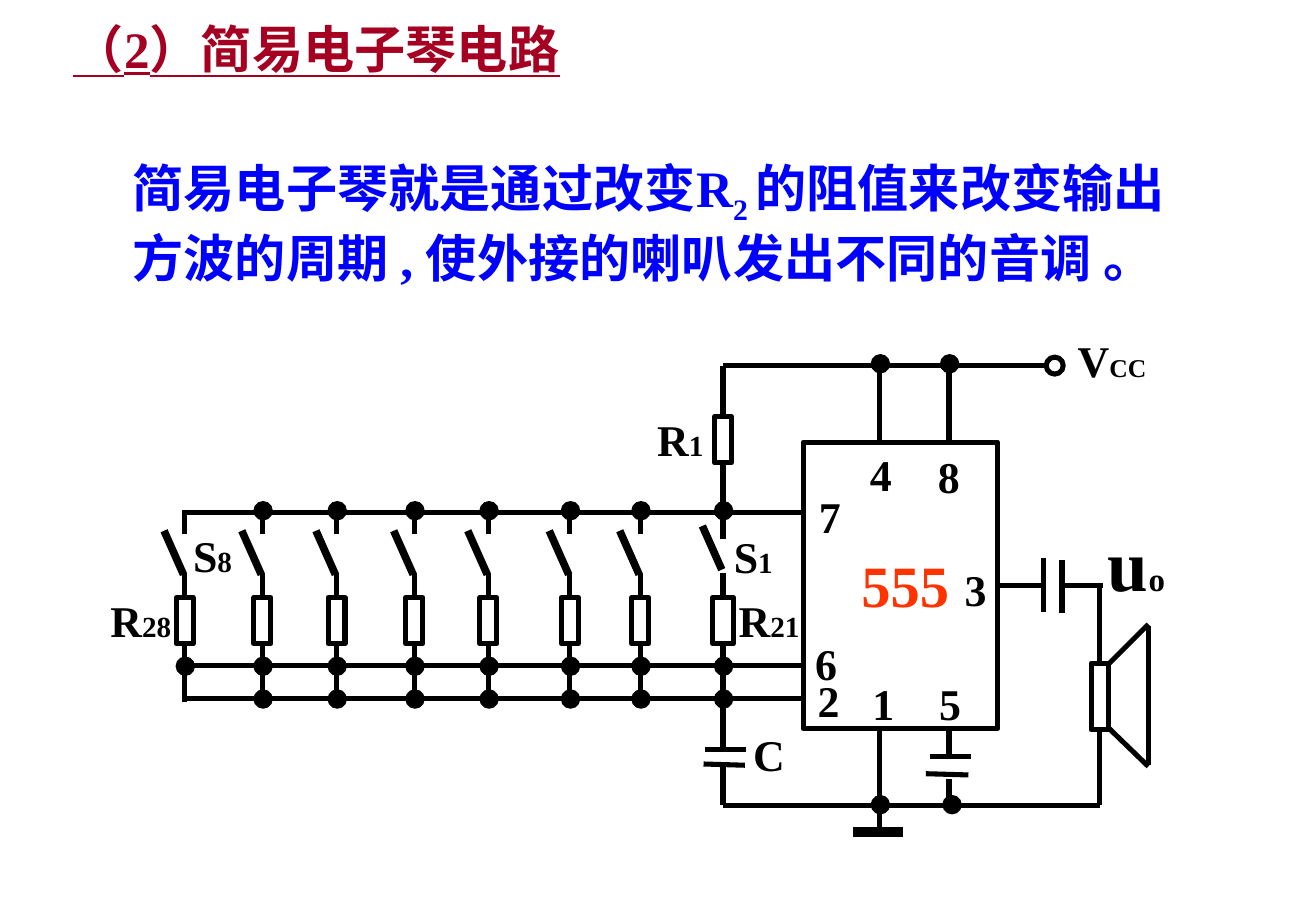
from pptx import Presentation
from pptx.dml.color import RGBColor
from pptx.enum import shapes, text
from pptx.oxml.ns import qn
from pptx.util import Inches, Pt
from lxml import etree

COLORS = {"ink": "000000", "heading": "A50021", "body": "0000FF", "chip": "FF3300"}
FONT = "Times New Roman"

HEADING = [("（2）简易电子琴电路", 30.3)]
EXPLANATION = [
    ("简易电子琴就是通过改变R", 30.3, 0),
    ("2 ", 30.3, -25000),
    ("的阻值来改变输出方波的周期 , 使外接的喇叭发出不同的音调 。", 30.3, 0),
]
PINS = {"4": (7.06, 3.64), "8": (7.62, 3.65), "1": (7.08, 5.52), "6": (6.61, 5.19),
        "2": (6.63, 5.5), "3": (7.84, 4.58), "5": (7.63, 5.52), "7": (6.64, 3.98)}
LABELS = [
    (5.31, 3.35, 0.92, [("R", 26), ("1", 17.3)]),
    (6.1, 5.94, 0.62, [("C", 26)]),
    (9.02, 4.22, 0.77, [("u", 43.3), ("o", 19.5)]),
    (8.77, 2.7, 0.96, [("V", 26), ("CC", 15.2)]),
    (5.98, 4.84, 0.92, [("R", 26), ("21", 17.3)]),
    (0.81, 4.84, 0.94, [("R", 26), ("28", 17.3)]),
    (1.49, 4.3, 0.62, [("S", 26), ("8", 17.3)]),
    (5.94, 4.31, 0.62, [("S", 26), ("1", 17.3)]),
]

KEYS = [1.52, 2.16, 2.77, 3.41, 4.02, 4.69, 5.27, 5.95]
SUPPLY, KEY_RAIL, RAIL_6, RAIL_2, GROUND = 3.01, 4.22, 5.48, 5.75, 6.63
CHIP_LEFT, MAIN, RESET, POWER, OUTPUT, SPEAKER = 6.61, KEYS[-1], 7.24, 7.81, 4.82, 9.05
RESISTOR_W, RESISTOR_H, RESISTOR_TOP = 0.14, 0.38, 4.92
TOP, BOTTOM, RIGHT = 0, 2, 3

WIRES = [
    (MAIN, SUPPLY, 8.61, SUPPLY),
    (RESET, SUPPLY, RESET, 3.64),
    (POWER, SUPPLY, POWER, 3.64),
    (KEYS[0] - 0.02, KEY_RAIL, CHIP_LEFT, KEY_RAIL),
    (KEYS[0], RAIL_6, CHIP_LEFT, RAIL_6),
    (KEYS[0], RAIL_2, CHIP_LEFT, RAIL_2),
    (MAIN, 6.29, MAIN, GROUND),
    (MAIN, GROUND, SPEAKER, GROUND),
    (RESET, 6.01, RESET, 6.82),
    (POWER, 6.01, POWER, 6.22),
    (POWER, 6.41, POWER, GROUND),
    (8.73, OUTPUT, 9.08, OUTPUT),
    (9.13, 5.46, 9.45, 5.14),
    (9.12, 5.99, 9.45, 6.31),
    (9.45, 5.15, 9.45, 6.3),
]
CAPACITOR_PLATES = [
    (5.8, 6.17, 6.14, 6.17), (5.79, 6.29, 6.13, 6.3),
    (7.65, 6.23, 7.99, 6.23), (7.62, 6.37, 7.97, 6.38),
    (8.59, 4.59, 8.59, 5.04), (8.74, 4.61, 8.74, 5.05),
]
NODES = [(RESET, 2.99), (POWER, 2.99), (RESET, 6.62), (POWER + 0.02, 6.62)]
NODES += [(x, KEY_RAIL - 0.02) for x in KEYS[1:]]
NODES += [(x, RAIL_6) for x in KEYS]
NODES += [(x, RAIL_2) for x in KEYS[1:]]

deck = Presentation()
deck.slide_width, deck.slide_height = Inches(10.83), Inches(7.5)
slide = deck.slides.add_slide(deck.slide_layouts[1])


def rgb(name):
    return RGBColor.from_string(COLORS[name])


def place(shape, left, top, width, height):
    shape.left, shape.top = Inches(left), Inches(top)
    shape.width, shape.height = Inches(width), Inches(height)


def write(shape, runs, color="ink", underline=None):
    frame = shape.text_frame
    frame.word_wrap = True
    frame.auto_size = text.MSO_AUTO_SIZE.NONE
    frame.vertical_anchor = text.MSO_ANCHOR.TOP
    paragraph = frame.paragraphs[0]
    paragraph.alignment = text.PP_ALIGN.LEFT
    paragraph.space_before = Pt(0)
    for words, size, *baseline in runs:
        run = paragraph.add_run()
        run.text = words
        run.font.name, run.font.size, run.font.bold = FONT, Pt(size), True
        run.font.underline = underline
        run.font.color.rgb = rgb(color)
        if baseline and baseline[0]:
            run.font._element.set("baseline", str(baseline[0]))
    return paragraph


def label(left, top, width, height, runs, color="ink"):
    box = slide.shapes.add_textbox(Inches(left), Inches(top), Inches(width), Inches(height))
    write(box, runs, color)


def outline(kind, left, top, width, height, filled=False):
    part = slide.shapes.add_shape(kind, Inches(left), Inches(top), Inches(width), Inches(height))
    part.shadow.inherit = False
    part.line.color.rgb = rgb("ink")
    part.line.width = Pt(0.75 if filled else 3)
    if filled:
        part.fill.solid()
        part.fill.fore_color.rgb = rgb("ink")
    else:
        part.fill.background()
    return part


def wire(x1, y1, x2, y2, weight=3, start=None, end=None):
    line = slide.shapes.add_connector(
        shapes.MSO_CONNECTOR.STRAIGHT, Inches(x1), Inches(y1), Inches(x2), Inches(y2))
    line.line.color.rgb = rgb("ink")
    line.line.width = Pt(weight)
    etree.SubElement(line._element.spPr, qn("a:effectLst"))
    if start:
        line.begin_connect(*start)
    if end:
        line.end_connect(*end)


def block(center, top, height, width=RESISTOR_W):
    return outline(shapes.MSO_SHAPE.RECTANGLE, center - width / 2, top, width, height)


heading = slide.shapes.title
place(heading, 0.5, 0.09, 4.38, 1.1)
write(heading, HEADING, "heading", underline=True)

explanation = slide.placeholders[1]
place(explanation, 0.99, 1.24, 8.87, 1.12)
properties = write(explanation, EXPLANATION, "body")._p.get_or_add_pPr()
properties.set("marL", "0")
properties.set("indent", "0")
etree.SubElement(properties, qn("a:buNone"))

chip = outline(shapes.MSO_SHAPE.RECTANGLE, CHIP_LEFT, 3.64, 1.6, 2.36)
for pin, (left, top) in PINS.items():
    label(left, top, 0.42, 0.54, [(pin, 26)])
label(6.99, 4.47, 1.33, 0.68, [("555", 34.7)], "chip")
for left, top, width, runs in LABELS:
    label(left, top, width, 0.54, runs)

for ends in WIRES + CAPACITOR_PLATES:
    wire(*ends)
wire(7.02, 6.85, 7.43, 6.85, 6)
wire(8.21, OUTPUT, 8.59, OUTPUT, start=(chip, RIGHT))

r1 = block(MAIN, 3.43, RESISTOR_H)
wire(MAIN, SUPPLY, MAIN, 3.43, end=(r1, TOP))
wire(MAIN, 3.81, MAIN, 4.44, start=(r1, BOTTOM))

for x in KEYS:
    last = x == MAIN
    resistor = block(x, RESISTOR_TOP, RESISTOR_H, 0.17 if last else RESISTOR_W)
    if not last:
        wire(x, KEY_RAIL - 0.02, x, 4.4)
    lift = 0.04 if last else 0
    wire(x - 0.17, 4.37 - lift, x - 0.01, 4.73 - lift, 4.5)
    wire(x, 4.72, x, RESISTOR_TOP, end=(resistor, TOP))
    wire(x, RESISTOR_TOP + RESISTOR_H, x, 6.15 if last else 5.78, start=(resistor, BOTTOM))

speaker = block(SPEAKER, 5.46, 0.55)
wire(SPEAKER, OUTPUT, SPEAKER, 5.46, end=(speaker, TOP))
wire(SPEAKER, 6.01, SPEAKER, GROUND, start=(speaker, BOTTOM))

for x, y in NODES:
    outline(shapes.MSO_SHAPE.OVAL, x - 0.07, y - 0.07, 0.15, 0.15, filled=True)
outline(shapes.MSO_SHAPE.OVAL, 8.61, 2.94, 0.14, 0.14)

deck.save("out.pptx")
